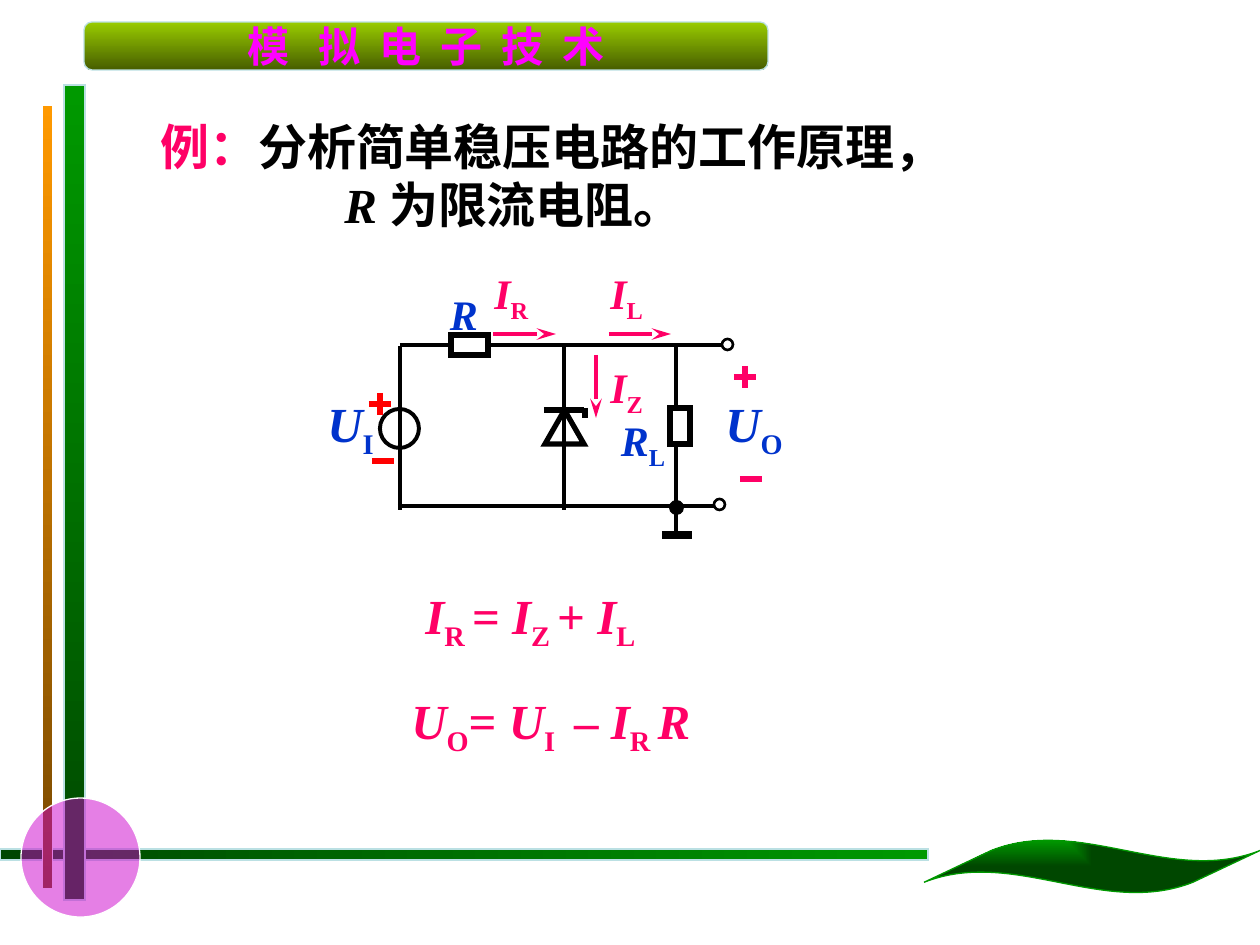
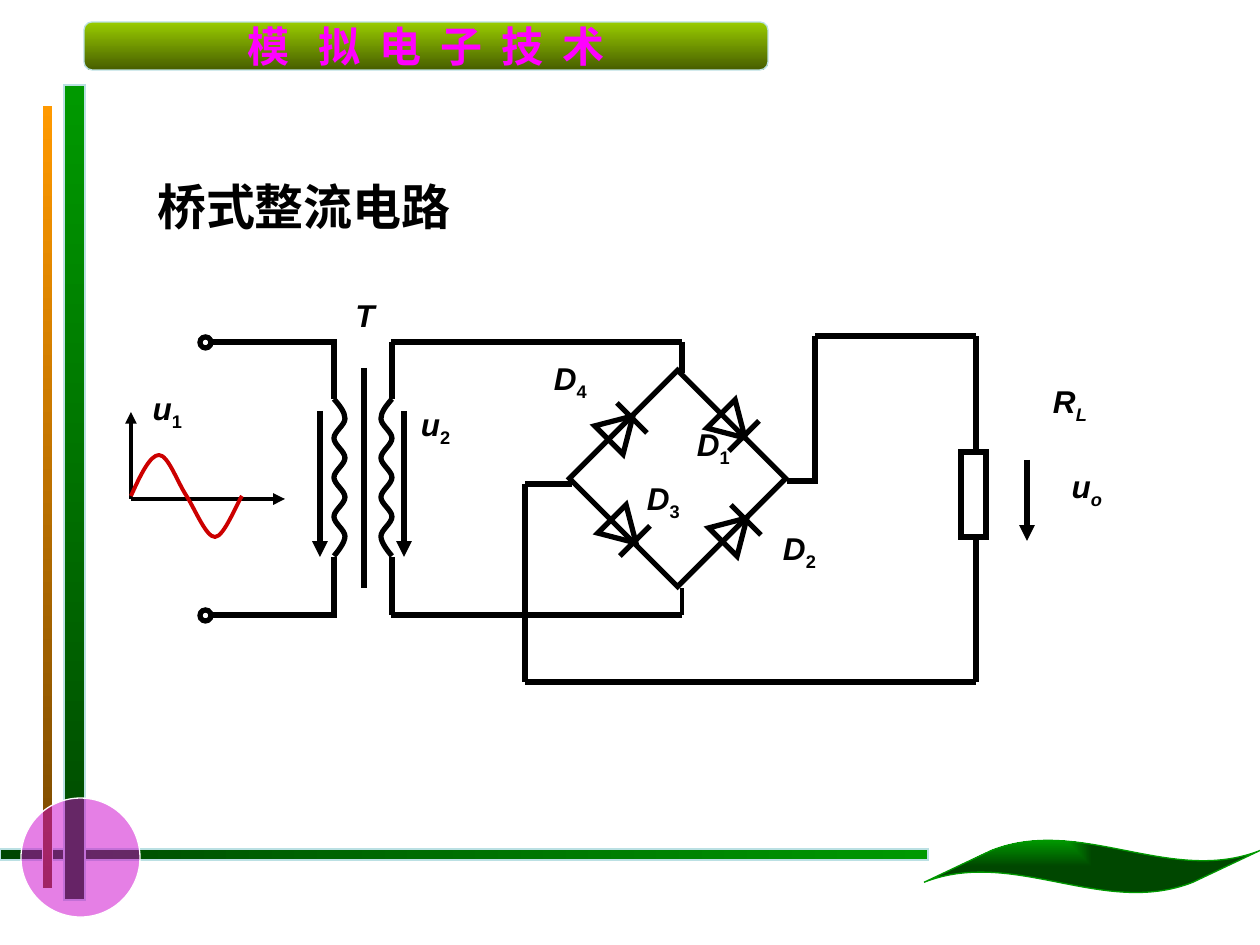
"""Build two analog-electronics slides: a voltage regulator and a bridge rectifier."""
from dataclasses import dataclass

from lxml import etree
from pptx import Presentation
from pptx import util as u
from pptx.dml.color import RGBColor
from pptx.enum import shapes, text
from pptx.oxml.ns import qn

MSO = shapes.MSO_SHAPE
LEFT, CENTER = text.PP_ALIGN.LEFT, text.PP_ALIGN.CENTER


@dataclass(frozen=True)
class Theme:
    """Colours, fonts, type sizes and line widths of the deck."""
    black: str = "000000"
    white: str = "FFFFFF"
    pink: str = "FF0066"
    red: str = "FF0000"
    blue: str = "0033CC"
    magenta: str = "FF00FF"
    purple: str = "CC00CC"
    signal: str = "CC0000"
    green: str = "009900"
    dark_green: str = "004700"
    orange: str = "FF9900"
    brown: str = "764700"
    lime: str = "99CC00"
    olive: str = "475E00"
    edge: str = "BBE0E3"
    serif: str = "Times New Roman"
    sans: str = "Arial"
    cjk: str = "Noto Sans CJK SC"
    title: int = 28
    label: int = 24
    small: int = 18
    hairline: float = 0.75
    thin: float = 1.5
    medium: float = 2.25
    thick: float = 3
    heavy: float = 4.5


T = Theme()


def px(n):
    """Convert pixels, 126 to the inch, into EMU."""
    return u.Emu(round(n * 914400 / 126))


def rgb(colour):
    """Turn a hex string into a colour."""
    return RGBColor.from_string(colour)


def set_gradient(sp, first, last, angle):
    """Fill a shape from first to last along an angle, or from its corner if angle is None."""
    sp.fill.gradient()
    for stop, colour in zip(sp.fill.gradient_stops, (first, last)):
        stop.color.rgb = rgb(colour)
    if angle is not None:
        sp.fill.gradient_angle = angle
        return
    grad = sp._element.spPr.find(qn("a:gradFill"))
    grad.remove(grad.find(qn("a:lin")))
    corner = etree.SubElement(grad, qn("a:path"), {"path": "rect"})
    etree.SubElement(corner, qn("a:fillToRect"), {"r": "100000", "b": "100000"})


def write(p, runs, font, size, colour, align=LEFT):
    """Write runs of (text, flags, options); flag i is italic, s is subscript."""
    p.alignment = align
    f = p.font
    f.name, f.size, f.bold = font, u.Pt(size), True
    f.color.rgb = rgb(colour)
    etree.SubElement(f._element, qn("a:ea"), {"typeface": T.cjk})
    for words, flags, *options in runs:
        r = p.add_run()
        r.text = words
        extra = options[0] if options else {}
        if "i" in flags:
            r.font.italic = True
        if "s" in flags:
            r.font._element.set("baseline", "-25000")
        if "spacing" in extra:
            r.font._element.set("spc", str(extra["spacing"]))
        if "colour" in extra:
            r.font.color.rgb = rgb(extra["colour"])


@dataclass
class Region:
    """A part of a slide whose contents are placed from its top left corner."""
    slide: object
    x: int = 0
    y: int = 0

    def at(self, x, y):
        """Give the slide position of a point in this region."""
        return px(self.x + x), px(self.y + y)

    def shape(self, kind, x, y, w, h, fill=None, line=T.black, width=T.thick, rotation=0):
        """Draw a preset shape with sharp corners."""
        sp = self.slide.shapes.add_shape(kind, *self.at(x, y), px(w), px(h))
        sp.shadow.inherit = False
        sp.rotation = rotation
        if fill:
            sp.fill.solid()
            sp.fill.fore_color.rgb = rgb(fill)
        else:
            sp.fill.background()
        sp.line.color.rgb, sp.line.width = rgb(line), u.Pt(width)
        etree.SubElement(sp.line._get_or_add_ln(), qn("a:miter"), {"lim": "800000"})
        return sp

    def line(self, x1, y1, x2, y2, colour=T.black, width=T.thick, head=None, length="med"):
        """Draw a straight line, with an arrowhead at its end if named."""
        c = self.slide.shapes.add_connector(
            shapes.MSO_CONNECTOR.STRAIGHT, *self.at(x1, y1), *self.at(x2, y2))
        c.line.color.rgb, c.line.width = rgb(colour), u.Pt(width)
        if head:
            etree.SubElement(c.line._get_or_add_ln(), qn("a:tailEnd"),
                             {"type": head, "len": length})
        etree.SubElement(c._element.spPr, qn("a:effectLst"))

    def curve(self, points, colour=T.black, width=T.thick):
        """Draw Bezier curves from a start point and three points for each curve."""
        start, *rest = [self.at(*point) for point in points]
        builder = self.slide.shapes.build_freeform(*start)
        builder.add_line_segments(rest, close=False)
        sp = builder.convert_to_shape()
        segments = list(sp._element.spPr.iter(qn("a:lnTo")))
        outline = segments[0].getparent()
        for i in range(0, len(segments), 3):
            bezier = etree.SubElement(outline, qn("a:cubicBezTo"))
            for segment in segments[i:i + 3]:
                bezier.append(segment[0])
                outline.remove(segment)
        sp.shadow.inherit = False
        sp.fill.background()
        sp.line.color.rgb, sp.line.width = rgb(colour), u.Pt(width)

    def text(self, x, y, w, h, runs, font=T.serif, size=T.title, colour=T.pink, align=LEFT):
        """Add a text box with one paragraph and return its frame."""
        tf = self.slide.shapes.add_textbox(*self.at(x, y), px(w), px(h)).text_frame
        tf.word_wrap = True
        write(tf.paragraphs[0], runs, font, size, colour, align)
        return tf


def decorate(slide):
    """Draw the bars, disc, header band and leaf that every slide carries."""
    page = Region(slide)
    bars = [
        (0, 849, 928, 11, T.dark_green, T.green, 0, T.edge, T.hairline),
        (64, 85, 21, 815, T.green, T.dark_green, 270, T.edge, T.hairline),
        (42, 105, 11, 784, T.orange, T.brown, 270, T.white, 0.5),
    ]
    for x, y, w, h, first, last, angle, edge, width in bars:
        sp = page.shape(MSO.RECTANGLE, x, y, w, h, line=edge, width=width)
        set_gradient(sp, first, last, angle)
    disc = page.shape(MSO.OVAL, 21, 798, 119, 119, T.purple, T.white, T.hairline)
    colour = disc._element.spPr.find(qn("a:solidFill")).find(qn("a:srgbClr"))
    etree.SubElement(colour, qn("a:alpha"), {"val": "50000"})
    band = page.shape(MSO.FLOWCHART_ALTERNATE_PROCESS, 84, 22, 684, 48,
                      line=T.edge, width=T.hairline)
    set_gradient(band, T.lime, T.olive, 270)
    tf = band.text_frame
    tf.word_wrap, tf.vertical_anchor = False, text.MSO_ANCHOR.MIDDLE
    write(tf.paragraphs[0],
          [("模 ", "", {"spacing": 550}), ("拟 电 子 技 术", "", {"spacing": 270})],
          T.cjk, T.label, T.magenta, CENTER)
    leaf = page.shape(MSO.WAVE, 924, 840, 336, 53, line=T.green, width=T.hairline)
    leaf.adjustments[0], leaf.adjustments[1] = 0.206, -0.1
    set_gradient(leaf, T.green, T.dark_green, None)


def polarity(box, plus, minus, colour):
    """Mark a plus and a minus sign at the given centres."""
    (x, y), (mx, my) = plus, minus
    box.line(x, y - 11, x, y + 11, colour)
    box.line(x - 11, y, x + 11, y, colour)
    box.line(mx - 11, my, mx + 11, my, colour)


def regulator_circuit(box):
    """Draw the Zener regulator with its currents and voltages."""
    wires = [(100, 86, 100, 250), (264, 85, 264, 250), (100, 85, 422, 85),
             (376, 86, 376, 272), (98, 246, 421, 246)]
    for wire in wires:
        box.line(*wire, width=T.medium)
    box.line(244, 150, 284, 150)
    box.line(285, 148, 285, 158)
    box.shape(MSO.ISOSCELES_TRIANGLE, 245, 150, 39, 34)
    for resistor in [(151, 75, 37, 20), (370, 148, 20, 36)]:
        box.shape(MSO.RECTANGLE, *resistor, T.white)
    box.line(362, 275, 392, 275, width=T.heavy)
    box.shape(MSO.OVAL, 80, 149, 39, 39, width=T.medium)
    box.shape(MSO.OVAL, 371, 242, 11, 11, T.black, width=T.medium)
    box.shape(MSO.OVAL, 422, 79, 11, 11, width=T.thin)
    box.shape(MSO.OVAL, 414, 239, 11, 11, T.white, width=T.thin)
    polarity(box, (80, 144), (83, 201), T.red)
    polarity(box, (445, 117), (451, 219), T.pink)
    for arrow in [(193, 74, 256, 74), (309, 74, 371, 74), (296, 95, 296, 158)]:
        box.line(*arrow, T.pink, T.medium, "stealth", "lg")
    for x, sub in [(15, "I"), (413, "O")]:
        box.text(x, 127, 116, 72, [("U", "i"), (sub, "s")], colour=T.blue)
    for x, y, sub in [(182, 1, "R"), (298, 1, "L"), (298, 95, "Z")]:
        box.text(x, y, 70, 63, [("I", "i"), (sub, "s")], size=T.label)
    for x, y, runs in [(119, 22, [("R", "i")]), (298, 148, [("R", "i"), ("L", "s")])]:
        box.text(x, y, 90, 63, runs, size=T.label, colour=T.blue, align=CENTER)


def regulator_slide(slide):
    """Fill the slide on the simple voltage regulator."""
    decorate(slide)
    page = Region(slide)
    tf = page.text(148, 110, 985, 130, [
        ("例：", ""), ("分析简单稳压电路的工作原理，", "", {"colour": T.black})])
    p = tf.add_paragraph()
    write(p, [("R ", "i"), ("为限流电阻。", "")], T.serif, T.title, T.black)
    p._p.get_or_add_pPr().set("marL", str(px(184)))
    page.text(413, 579, 374, 72, [
        ("I", "i"), ("R ", "s"), ("= ", ""), ("I", "i"), ("Z ", "s"),
        ("+ ", ""), ("I", "i"), ("L", "s")])
    page.text(399, 684, 353, 72, [
        ("U", "i"), ("O", "s"), ("= ", ""), ("U", "i"), ("I ", "s", {"spacing": 340}),
        ("– ", ""), ("I", "i"), ("R ", "s"), ("R", "i")])
    regulator_circuit(Region(slide, 300, 260))


def diode(box, x, y, down):
    """Draw a diode centred at x, y that points right and up, or right and down."""
    way = 1 if down else -1
    box.shape(MSO.ISOSCELES_TRIANGLE, x - 20, y - 17, 40, 34, rotation=135 if down else 45)
    bx, by = x + 11, y + 10 * way
    box.line(bx - 15, by + 15 * way, bx + 15, by - 15 * way)


def winding(box, x, y, height, swing):
    """Draw a winding of eight half waves that swings to one side."""
    points, step = [(x, y)], height / 8
    for i in range(8):
        near, far = (x, x + swing) if i % 2 == 0 else (x + swing, x)
        top = y + i * step
        points += [(near, top + step / 3), (far, top + step * 2 / 3), (far, top + step)]
    points[1] = (x + swing / 2, y + step / 3)
    points[-2] = (x + swing / 4, y + height - step / 6)
    box.curve(points)


def transformer(box):
    """Draw the input signal, terminals, windings and core."""
    for y in (62, 335):
        box.shape(MSO.OVAL, 80, y - 5, 11, 11)
        box.line(92, y, 217, y)
        box.line(271, y, 562, y)
    for x, swing, arrow in [(214, 11, 200), (272, -11, 284)]:
        winding(box, x, 119, 157, swing)
        box.line(x, 62, x, 119)
        box.line(x, 277, x, 335)
        box.line(arrow, 131, arrow, 277, head="triangle")
    box.line(244, 88, 244, 308)
    for axis in [(11, 219, 11, 132), (11, 219, 165, 219)]:
        box.line(*axis, width=T.medium, head="triangle")
    box.curve([(11, 216), (20, 196), (30, 175), (39, 175), (48, 175), (57, 201), (66, 215),
               (75, 229), (86, 257), (95, 257), (104, 257), (117, 223), (122, 216)],
              T.signal, T.medium)


def bridge_and_load(box):
    """Draw the diode bridge, its output wires and the load."""
    box.shape(MSO.RECTANGLE, 481, 122, 153, 153, rotation=45)
    for x, y, down in [(501, 148, False), (615, 250, False),
                       (613, 146, True), (504, 251, True)]:
        diode(box, x, y, down)
    box.line(562, 62, 562, 93)
    box.line(562, 335, 562, 308, width=T.medium)
    wires = [(695, 56, 856, 56), (695, 56, 695, 204), (667, 201, 695, 201),
             (452, 204, 405, 204), (405, 204, 405, 402), (405, 402, 856, 402),
             (856, 170, 856, 56), (856, 257, 856, 402)]
    for wire in wires:
        box.line(*wire)
    box.shape(MSO.RECTANGLE, 841, 172, 25, 85)
    box.line(907, 180, 907, 261, head="triangle")


def rectifier_slide(slide):
    """Fill the slide on the bridge rectifier."""
    decorate(slide)
    Region(slide).text(139, 170, 330, 72, [("桥式整流电路", "")],
                       T.sans, T.title, T.black, CENTER)
    box = Region(slide, 120, 280)
    transformer(box)
    bridge_and_load(box)
    labels = [
        (9, 103, 77, "u", "1", "s"), (277, 119, 77, "u", "2", "s"),
        (220, 10, 50, "T", "", ""), (412, 73, 77, "D", "4", "s"),
        (641, 243, 77, "D", "2", "s"), (555, 139, 77, "D", "1", "s"),
        (505, 193, 77, "D", "3", "s"), (880, 96, 140, "R", "L", "is"),
        (916, 181, 102, "u", "o", "is"),
    ]
    for x, y, w, name, sub, flags in labels:
        runs = [(name, "i")] + ([(sub, flags)] if sub else [])
        box.text(x, y, w, 63, runs, T.sans, T.small, T.black, CENTER)


def main():
    """Build and save the deck."""
    prs = Presentation()
    prs.slide_width, prs.slide_height = px(1260), px(945)
    for fill_slide in (regulator_slide, rectifier_slide):
        fill_slide(prs.slides.add_slide(prs.slide_layouts[6]))
    prs.save("out.pptx")


if __name__ == "__main__":
    main()
